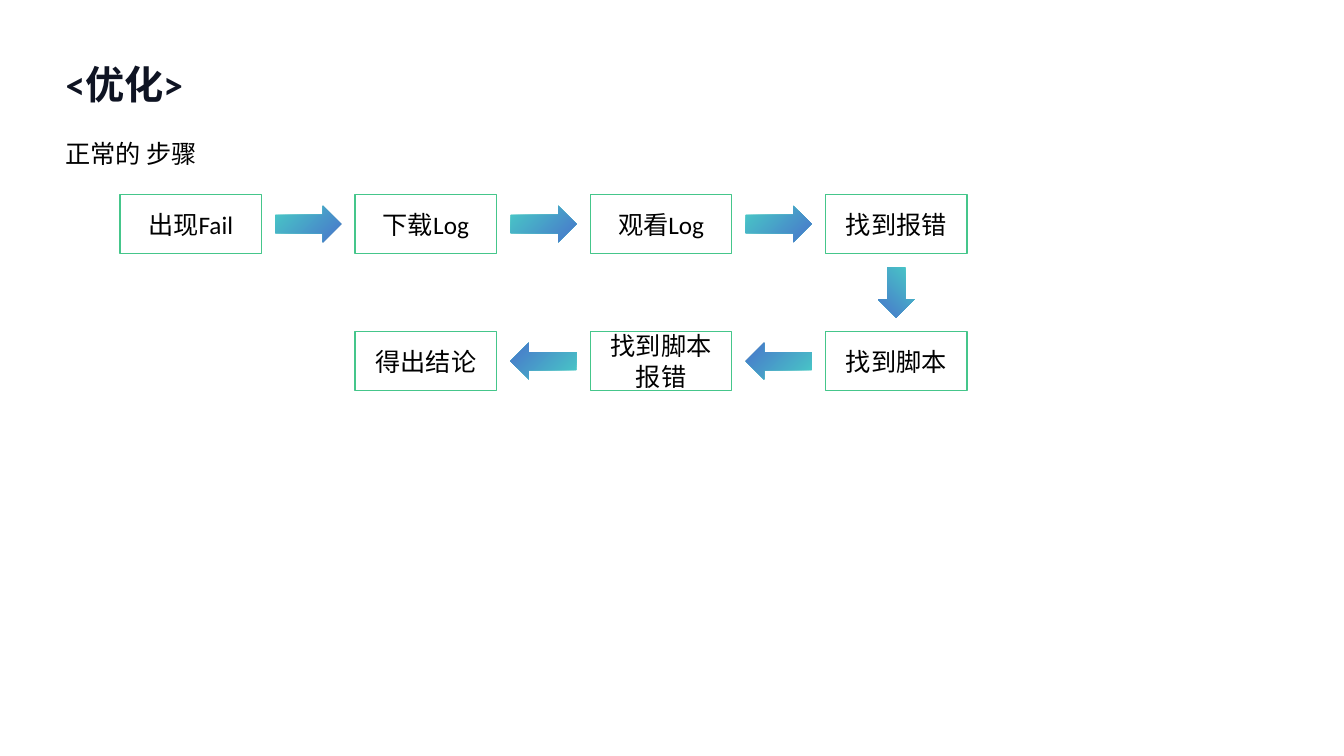
from pptx import Presentation
from pptx.dml.color import RGBColor
from pptx.enum import shapes, text
from pptx.util import Pt

INK = RGBColor(0x0F, 0x14, 0x23)
BLACK = RGBColor(0, 0, 0)
GREEN = RGBColor(0x45, 0xC6, 0x8B)
TEAL = RGBColor(0x48, 0xCB, 0xC6)
BLUE = RGBColor(0x48, 0x74, 0xCB)

BOX_WIDTH, BOX_HEIGHT = 101, 42
FIRST_LEFT, FIRST_TOP = 85.7, 139
COLUMN_STEP, ROW_STEP = 168, 97.9
ARROW_HEIGHT = 26
STEPS = [
    ("出现Fail", 0, 0),
    ("下载Log", 1, 0),
    ("观看Log", 2, 0),
    ("找到报错", 3, 0),
    ("找到脚本", 3, 1),
    ("找到脚本报错", 2, 1),
    ("得出结论", 1, 1),
]
ARROW_STYLES = {(1, 0): (47, 0), (0, 1): (36, 90), (-1, 0): (47, 180)}


def set_text(shape, content, size, color, align, anchor, bold=False):
    """Write one formatted paragraph into a shape."""
    frame = shape.text_frame
    frame.text = content
    frame.word_wrap = True
    frame.auto_size = text.MSO_AUTO_SIZE.NONE
    frame.vertical_anchor = anchor
    paragraph = frame.paragraphs[0]
    paragraph.alignment = align
    font = paragraph.runs[0].font
    font.name, font.size, font.bold = "Calibri", Pt(size), bold
    font.color.rgb = color


def add_title(slide, content):
    """Place the slide title."""
    title = slide.shapes.title
    title.left, title.top, title.width, title.height = Pt(39.6), Pt(39.6), Pt(322), Pt(41)
    set_text(title, content, 28, INK, text.PP_ALIGN.LEFT, text.MSO_ANCHOR.TOP, bold=True)


def add_subtitle(slide, content):
    """Add the line of text above the flow."""
    box = slide.shapes.add_textbox(Pt(39.6), Pt(95), Pt(159), Pt(29))
    set_text(box, content, 18, BLACK, text.PP_ALIGN.LEFT, text.MSO_ANCHOR.TOP)


def add_step(slide, content, column, row):
    """Add a step box at its grid cell."""
    box = slide.shapes.add_shape(
        shapes.MSO_SHAPE.FLOWCHART_PROCESS,
        Pt(FIRST_LEFT + column * COLUMN_STEP), Pt(FIRST_TOP + row * ROW_STEP),
        Pt(BOX_WIDTH), Pt(BOX_HEIGHT))
    box.shadow.inherit = False
    box.fill.background()
    box.line.color.rgb = GREEN
    box.line.width = Pt(1)
    set_text(box, content, 18, BLACK, text.PP_ALIGN.CENTER, text.MSO_ANCHOR.MIDDLE)


def add_arrow(slide, start, end):
    """Add a block arrow midway between two grid cells."""
    width, rotation = ARROW_STYLES[end[0] - start[0], end[1] - start[1]]
    center_x = FIRST_LEFT + BOX_WIDTH / 2 + (start[0] + end[0]) / 2 * COLUMN_STEP
    center_y = FIRST_TOP + BOX_HEIGHT / 2 + (start[1] + end[1]) / 2 * ROW_STEP
    arrow = slide.shapes.add_shape(
        shapes.MSO_SHAPE.RIGHT_ARROW,
        Pt(center_x - width / 2), Pt(center_y - ARROW_HEIGHT / 2),
        Pt(width), Pt(ARROW_HEIGHT))
    arrow.rotation = rotation
    arrow.shadow.inherit = False
    arrow.line.fill.background()
    arrow.fill.gradient()
    arrow.fill.gradient_angle = 315
    for stop, color, position in zip(arrow.fill.gradient_stops, (TEAL, BLUE), (0, 1)):
        stop.color.rgb = color
        stop.position = position


def main():
    """Build and save the slide."""
    presentation = Presentation()
    presentation.slide_width, presentation.slide_height = Pt(960), Pt(540)
    slide = presentation.slides.add_slide(presentation.slide_layouts[5])
    add_title(slide, "<优化>")
    add_subtitle(slide, "正常的 步骤")
    for content, column, row in STEPS:
        add_step(slide, content, column, row)
    for start, end in zip(STEPS, STEPS[1:]):
        add_arrow(slide, start[1:], end[1:])
    presentation.save("out.pptx")


if __name__ == "__main__":
    main()
